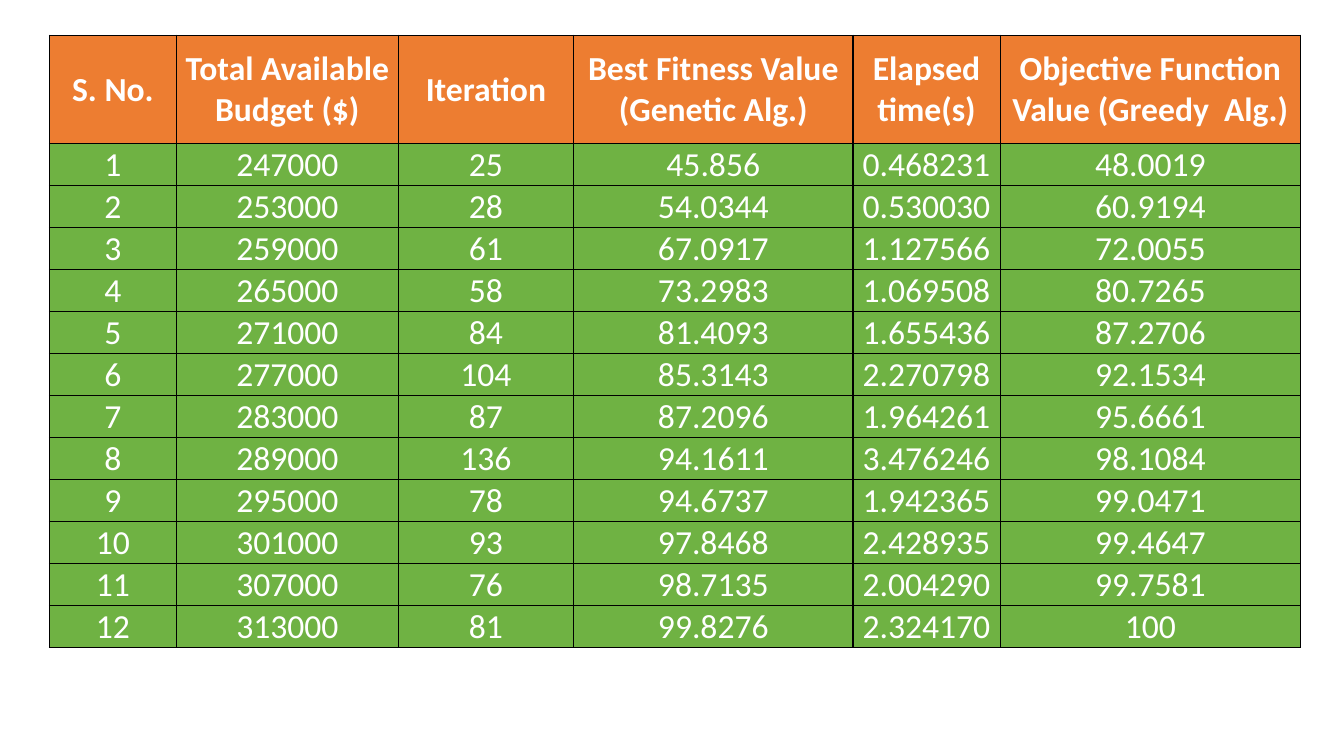
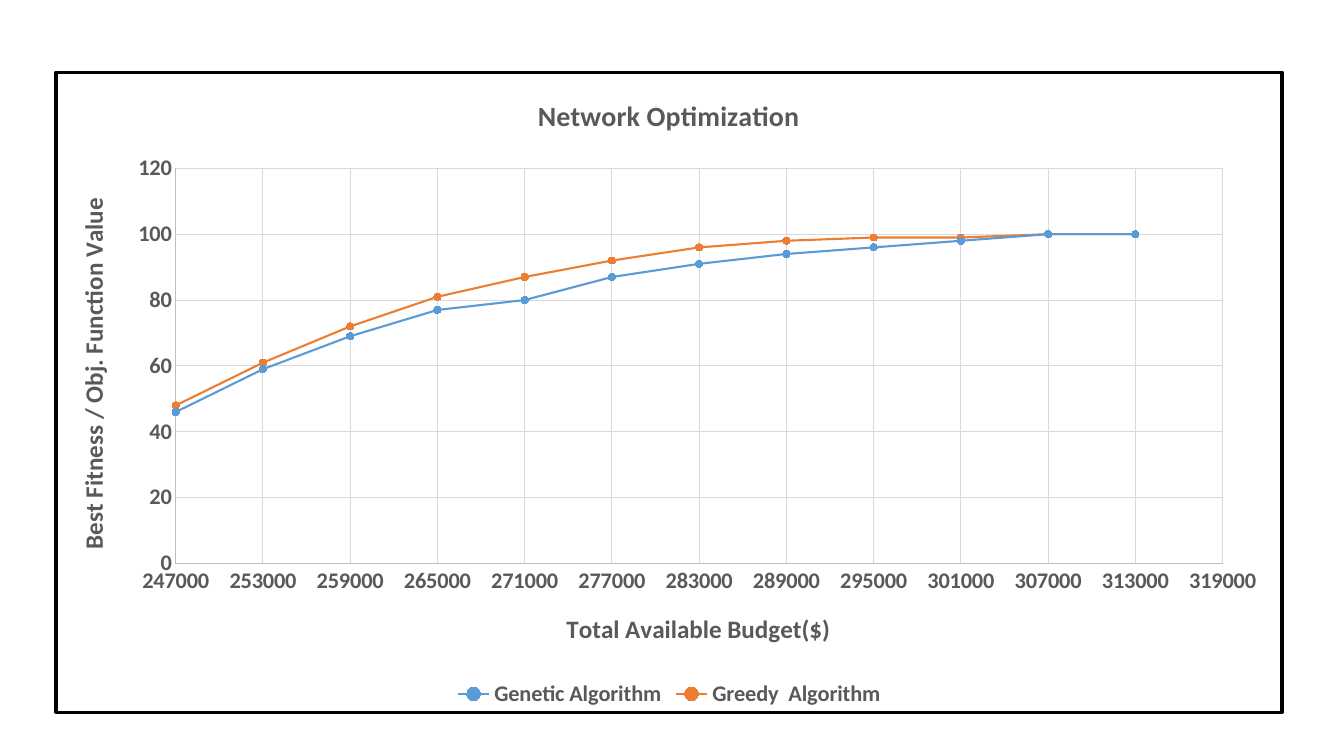
"""Build a results table and a chart comparing two budget optimisation algorithms."""
from lxml import etree
from pptx import Presentation
from pptx import util as u
from pptx.chart import data as chart_data
from pptx.dml import color
from pptx.enum import chart as chart_enum, text
from pptx.oxml import ns, parse_xml

WIDTH, HEIGHT = 13.33, 7.5
FONT = "Calibri"
COLORS = {
    "header": "ED7D31", "body": "6FB243", "light": "FFFFFF", "border": "000000",
    "label": "595959", "grid": "D9D9D9", "axis": "BFBFBF",
    "genetic": "5B9BD5", "greedy": "ED7D31",
}

HEADERS = ["S. No.", "Total Available Budget ($)", "Iteration",
           "Best Fitness Value (Genetic Alg.)", "Elapsed time(s)",
           "Objective Function Value (Greedy  Alg.)"]
COLUMN_WIDTHS = [1.26, 2.2, 1.74, 2.77, 1.46, 2.98]
HEADER_HEIGHT, TABLE_HEIGHT = 1.07, 6.08
BOTTOM_COLUMNS = (2, 3)
CHART_WIDTH, CHART_HEIGHT = 12.19, 6.38
FIRST_BUDGET, BUDGET_STEP = 247000, 6000
RUNS = [
    ("25", "45.856", "0.468231", "48.0019"),
    ("28", "54.0344", "0.530030", "60.9194"),
    ("61", "67.0917", "1.127566", "72.0055"),
    ("58", "73.2983", "1.069508", "80.7265"),
    ("84", "81.4093", "1.655436", "87.2706"),
    ("104", "85.3143", "2.270798", "92.1534"),
    ("87", "87.2096", "1.964261", "95.6661"),
    ("136", "94.1611", "3.476246", "98.1084"),
    ("78", "94.6737", "1.942365", "99.0471"),
    ("93", "97.8468", "2.428935", "99.4647"),
    ("76", "98.7135", "2.004290", "99.7581"),
    ("81", "99.8276", "2.324170", "100"),
]
BUDGETS = [FIRST_BUDGET + BUDGET_STEP * index for index in range(len(RUNS))]
GENETIC = [46, 59, 69, 77, 80, 87, 91, 94, 96, 98, 100, 100]
GREEDY = [round(float(run[-1])) for run in RUNS]


def rgb(name):
    """Return the named colour."""
    return color.RGBColor.from_string(COLORS[name])


def apply(target, **values):
    """Set each given attribute on the target."""
    for name, value in values.items():
        setattr(target, name, value)


def style_font(font, size, tone, bold):
    """Give a font its face, size, weight and colour."""
    apply(font, name=FONT, size=u.Pt(size), bold=bold)
    font.color.rgb = rgb(tone)


def style_line(line, tone, width):
    """Give a line its colour and width."""
    line.color.rgb = rgb(tone)
    line.width = u.Pt(width)


def add_borders(cell):
    """Draw a thin border on the four sides of a cell."""
    properties = cell._tc.get_or_add_tcPr()
    for side in ("lnL", "lnR", "lnT", "lnB"):
        line = etree.SubElement(properties, ns.qn(f"a:{side}"), w=str(u.Pt(1)))
        fill = etree.SubElement(line, ns.qn("a:solidFill"))
        etree.SubElement(fill, ns.qn("a:srgbClr"), val=COLORS["border"])


def fill_cell(cell, content, heading, anchor):
    """Write and format one table cell."""
    inset = u.Inches(0.01)
    apply(cell, vertical_anchor=anchor, margin_left=inset, margin_right=inset,
          margin_top=inset, margin_bottom=0)
    add_borders(cell)
    cell.fill.solid()
    cell.fill.fore_color.rgb = rgb("header" if heading else "body")
    para = cell.text_frame.paragraphs[0]
    para.alignment = text.PP_ALIGN.CENTER
    span = para.add_run()
    span.text = content
    style_font(span.font, 24, "light", heading)


def add_results_table(page):
    """Add the table of runs."""
    rows = [HEADERS] + [(str(number), str(budget), *run) for number, (budget, run)
                        in enumerate(zip(BUDGETS, RUNS), 1)]
    row_height = (TABLE_HEIGHT - HEADER_HEIGHT) / len(RUNS)
    heights = [HEADER_HEIGHT] + [row_height] * len(RUNS)
    frame = page.shapes.add_table(
        len(rows), len(HEADERS), u.Inches(0.49), u.Inches(0.35),
        u.Inches(sum(COLUMN_WIDTHS)), u.Inches(TABLE_HEIGHT))
    table = frame.table
    for column, width in zip(table.columns, COLUMN_WIDTHS):
        column.width = u.Inches(width)
    for row_index, (values, height) in enumerate(zip(rows, heights)):
        table.rows[row_index].height = u.Inches(height)
        for column_index, content in enumerate(values):
            low = row_index > 0 and column_index in BOTTOM_COLUMNS
            anchor = text.MSO_ANCHOR.BOTTOM if low else text.MSO_ANCHOR.MIDDLE
            fill_cell(table.cell(row_index, column_index), content, row_index == 0, anchor)


def place(element, index, x, y, **size):
    """Fix a chart part at inches from the chart's corner, with an optional w and h."""
    for old in element.findall(ns.qn("c:layout")):
        element.remove(old)
    layout = etree.Element(ns.qn("c:layout"))
    manual = etree.SubElement(layout, ns.qn("c:manualLayout"))
    settings = {"layoutTarget": "inner"} if size else {}
    settings.update(xMode="edge", yMode="edge", x=x / CHART_WIDTH, y=y / CHART_HEIGHT)
    if size:
        settings.update(w=size["w"] / CHART_WIDTH, h=size["h"] / CHART_HEIGHT)
    for name, value in settings.items():
        etree.SubElement(manual, ns.qn(f"c:{name}"), val=str(value))
    element.insert(index, layout)


def write_title(title, content, size, x, y):
    """Write and place a chart or axis title."""
    para = title.text_frame.paragraphs[0]
    span = para.add_run()
    span.text = content
    style_font(span.font, size, "label", True)
    place(title._element, 1, x, y)


def style_axis(axis, title, x, y, low, high, step):
    """Set an axis's scale, lines, labels and title."""
    apply(axis, minimum_scale=low, maximum_scale=high, major_unit=step,
          has_major_gridlines=True, has_title=True,
          major_tick_mark=chart_enum.XL_TICK_MARK.NONE,
          minor_tick_mark=chart_enum.XL_TICK_MARK.NONE)
    style_line(axis.major_gridlines.format.line, "grid", 0.75)
    style_line(axis.format.line, "axis", 0.75)
    style_font(axis.tick_labels.font, 16, "label", True)
    write_title(axis.axis_title, title, 18, x, y)


def style_series(series, tone):
    """Draw a series as a straight line with round markers."""
    series.smooth = False
    style_line(series.format.line, tone, 1.5)
    marker = series.marker
    apply(marker, style=chart_enum.XL_MARKER_STYLE.CIRCLE, size=5)
    marker.format.fill.solid()
    marker.format.fill.fore_color.rgb = rgb(tone)
    style_line(marker.format.line, tone, 0.75)


def add_chart_border(chart):
    """Frame the whole chart with a heavy line on white."""
    border = parse_xml(
        f'<c:spPr {ns.nsdecls("c", "a")}>'
        f'<a:solidFill><a:srgbClr val="{COLORS["light"]}"/></a:solidFill>'
        f'<a:ln w="{u.Pt(2.25)}"><a:solidFill><a:srgbClr val="{COLORS["border"]}"/>'
        '</a:solidFill></a:ln></c:spPr>')
    chart._chartSpace.find(ns.qn("c:chart")).addnext(border)


def add_comparison_chart(page):
    """Add the scatter chart of both algorithms."""
    points = chart_data.XyChartData()
    for name, values in (("Genetic Algorithm", GENETIC), ("Greedy  Algorithm", GREEDY)):
        series = points.add_series(name)
        for budget, value in zip(BUDGETS, values):
            series.add_data_point(budget, value)
    chart = page.shapes.add_chart(
        chart_enum.XL_CHART_TYPE.XY_SCATTER_LINES, u.Inches(0.54), u.Inches(0.7),
        u.Inches(CHART_WIDTH), u.Inches(CHART_HEIGHT), points).chart
    style_font(chart.font, 10, "border", False)
    apply(chart, has_title=True, has_legend=True)
    write_title(chart.chart_title, "Network Optimization", 20, 4.74, 0.19)
    apply(chart.legend, position=chart_enum.XL_LEGEND_POSITION.BOTTOM, include_in_layout=False)
    style_font(chart.legend.font, 16, "label", True)
    style_axis(chart.category_axis, "Total Available Budget($)", 5.03, 5.33,
               FIRST_BUDGET, BUDGETS[-1] + BUDGET_STEP, BUDGET_STEP)
    style_axis(chart.value_axis, "Best Fitness / Obj. Function Value", 0.15, 1.22, 0, 120, 20)
    plot = chart.plots[0]
    plot.vary_by_categories = False
    for series, tone in zip(plot.series, ("genetic", "greedy")):
        style_series(series, tone)
    plot_area = chart._chartSpace.find(ns.qn("c:chart")).find(ns.qn("c:plotArea"))
    place(plot_area, 0, 1.19, 0.96, w=10.41, h=3.94)
    add_chart_border(chart)


def main():
    """Build and save the deck."""
    deck = Presentation()
    apply(deck, slide_width=u.Inches(WIDTH), slide_height=u.Inches(HEIGHT))
    for add_content in (add_results_table, add_comparison_chart):
        add_content(deck.slides.add_slide(deck.slide_layouts[6]))
    deck.save("out.pptx")


if __name__ == "__main__":
    main()
